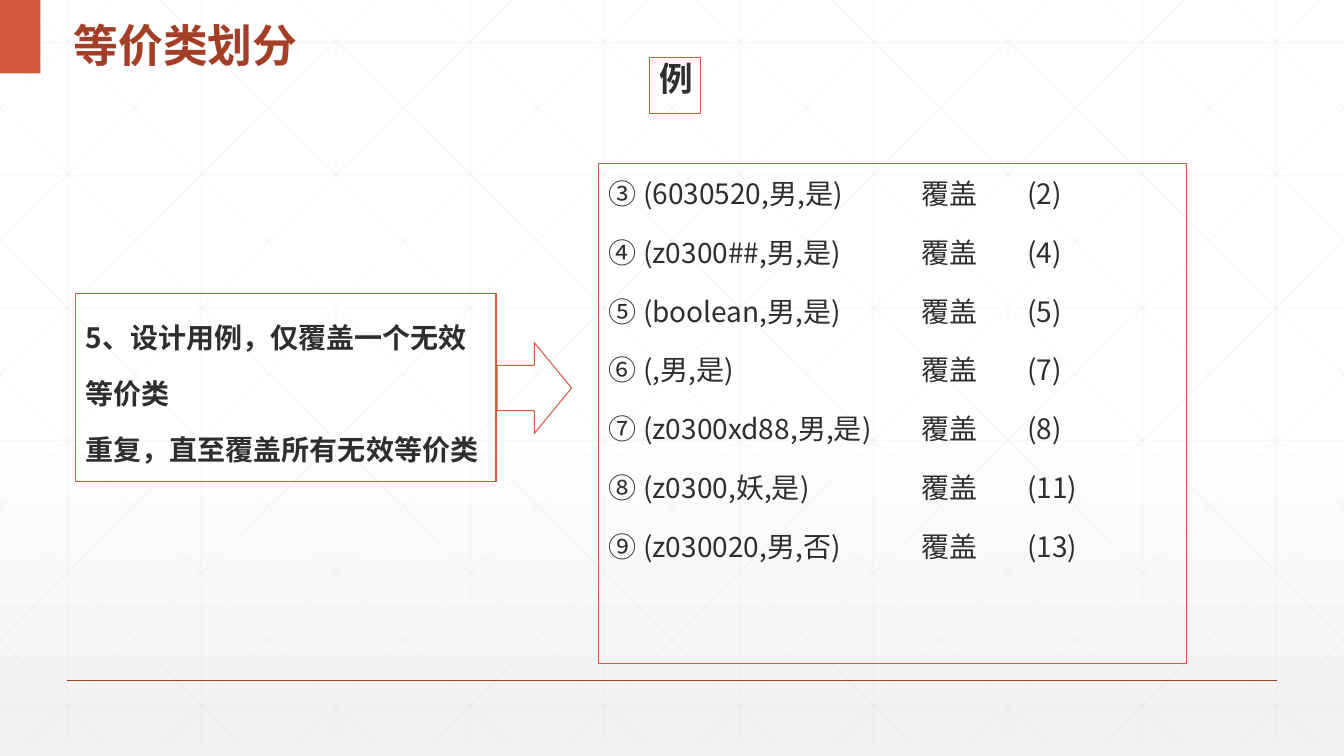
from lxml import etree
from pptx import Presentation, util as u
from pptx.dml.color import RGBColor
from pptx.enum import shapes, text
from pptx.oxml.ns import qn

TITLE = "等价类划分"
LABEL = "例"
STEP = ["5、设计用例，仅覆盖一个无效等价类", "重复，直至覆盖所有无效等价类"]
CASES = [
    ("③ (6030520,男,是)", "覆盖", "(2)"),
    ("④ (z0300##,男,是)", "覆盖", "(4)"),
    ("⑤ (boolean,男,是)", "覆盖", "(5)"),
    ("⑥ (,男,是)", "覆盖", "(7)"),
    ("⑦ (z0300xd88,男,是)", "覆盖", "(8)"),
    ("⑧ (z0300,妖,是)", "覆盖", "(11)"),
    ("⑨ (z030020,男,否)", "覆盖", "(13)"),
]
CASE_TABS = (3.1, 4.15)
COLORS = {"accent": "D15A3E", "dark": "A43F27", "ink": "2D2E2D",
          "grid": "D9D9D9", "paper": "FFFFFF", "shade": "F2F2F2"}
CJK = "Noto Sans CJK SC"

W, H = 13.33, 7.5
GRID_H = 7.37                  # depth of the background pattern
COL, ROW = W / 10, 1.316       # pitch of the background pattern
SLOPE = 0.989                  # fall of a diagonal per inch across
DIAGONAL_X = 0.25              # where the first diagonal meets the top

prs = Presentation()
prs.slide_width, prs.slide_height = u.Inches(W), u.Inches(H)
s = prs.slides.add_slide(prs.slide_layouts[6])


def rgb(name):
    return RGBColor.from_string(COLORS[name])


def add_line(x1, y1, x2, y2, color, width, alpha=None):
    c = s.shapes.add_connector(shapes.MSO_CONNECTOR.STRAIGHT,
                               *(u.Inches(v) for v in (x1, y1, x2, y2)))
    c.line.color.rgb = rgb(color)
    c.line.width = u.Pt(width)
    if alpha:
        for clr in c._element.spPr.iter(qn("a:srgbClr")):
            etree.SubElement(clr, qn("a:alpha")).set("val", str(alpha * 1000))
    etree.SubElement(c._element.spPr, qn("a:effectLst"))


def add_box(x, y, w, h, kind=shapes.MSO_SHAPE.RECTANGLE, fill=None):
    """Add a filled shape without outline, or an outlined one without fill."""
    sp = s.shapes.add_shape(kind, *(u.Inches(v) for v in (x, y, w, h)))
    sp.shadow.inherit = False
    if fill:
        sp.fill.solid()
        sp.fill.fore_color.rgb = rgb(fill)
        sp.line.fill.background()
    else:
        sp.fill.background()
        sp.line.color.rgb = rgb("accent")
        sp.line.width = u.Pt(0.75)
    return sp


def write(sp, lines, size, font=CJK, color="ink", bold=False, spacing=None,
          before=0, tabs=(), anchor=text.MSO_ANCHOR.TOP, top=0.05):
    tf = sp.text_frame
    tf.word_wrap = True
    tf.vertical_anchor = anchor
    tf.margin_top = u.Inches(top)
    for i, line in enumerate(lines):
        p = tf.paragraphs[0] if i == 0 else tf.add_paragraph()
        p.alignment = text.PP_ALIGN.LEFT
        if spacing:
            p.line_spacing = spacing
        if i and before:
            p.space_before = u.Pt(before)
        if tabs:
            tab_list = etree.SubElement(p._p.get_or_add_pPr(), qn("a:tabLst"))
            for pos in tabs:
                etree.SubElement(tab_list, qn("a:tab"),
                                 pos=str(u.Inches(pos)), algn="l")
        r = p.add_run()
        r.text = line
        r.font.size, r.font.bold, r.font.name = u.Pt(size), bold, font
        r.font.color.rgb = rgb(color)
        etree.SubElement(r._r.get_or_add_rPr(), qn("a:ea"), typeface=CJK)


def add_diagonal(x0, mirrored):
    """Draw a falling line from x0 at the top, cut at the slide's sides."""
    x1, x2 = max(x0, 0), min(x0 + GRID_H / SLOPE, W)
    y1, y2 = ((x - x0) * SLOPE for x in (x1, x2))
    if mirrored:
        x1, x2 = W - x1, W - x2
    add_line(x1, y1, x2, y2, "grid", 0.5, 25)


# Background
back = s.background.fill
back.gradient()
back.gradient_angle = 270
for stop, (place, name) in zip(back.gradient_stops, [(0.53, "paper"), (1, "shade")]):
    stop.position = place
    stop.color.rgb = rgb(name)
for i in range(10):
    x = COL * (i + 0.5)
    add_line(x, 0, x, GRID_H, "grid", 0.5, 25)
for i in range(6):
    y = 0.42 + ROW * i
    add_line(0, y, W, y, "grid", 0.5, 25)
for mirrored in (False, True):
    for i in range(-5, 10):
        add_diagonal(DIAGONAL_X + COL * i, mirrored)
add_line(COL / 2, H * 0.9, W - COL / 2, H * 0.9, "dark", 1)

# Heading
add_box(0, 0, 0.4, 0.73, fill="accent")
title = s.shapes.add_textbox(*(u.Inches(v) for v in (0.63, 0, 5.69, 0.73)))
write(title, [TITLE], 32, font="Arial", color="dark", bold=True, spacing=1.3,
      anchor=text.MSO_ANCHOR.MIDDLE)
write(add_box(6.44, 0.57, 0.51, 0.56), [LABEL], 24, bold=True, top=0)

# Step, arrow and test cases
write(add_box(0.75, 2.91, 4.17, 1.87), STEP, 20, bold=True, spacing=u.Pt(40))
add_box(4.93, 3.4, 0.74, 0.9, shapes.MSO_SHAPE.RIGHT_ARROW)
write(add_box(5.94, 1.62, 5.83, 4.96), ["\t".join(case) for case in CASES], 20,
      spacing=u.Pt(30), before=12, tabs=CASE_TABS)

prs.save("out.pptx")
